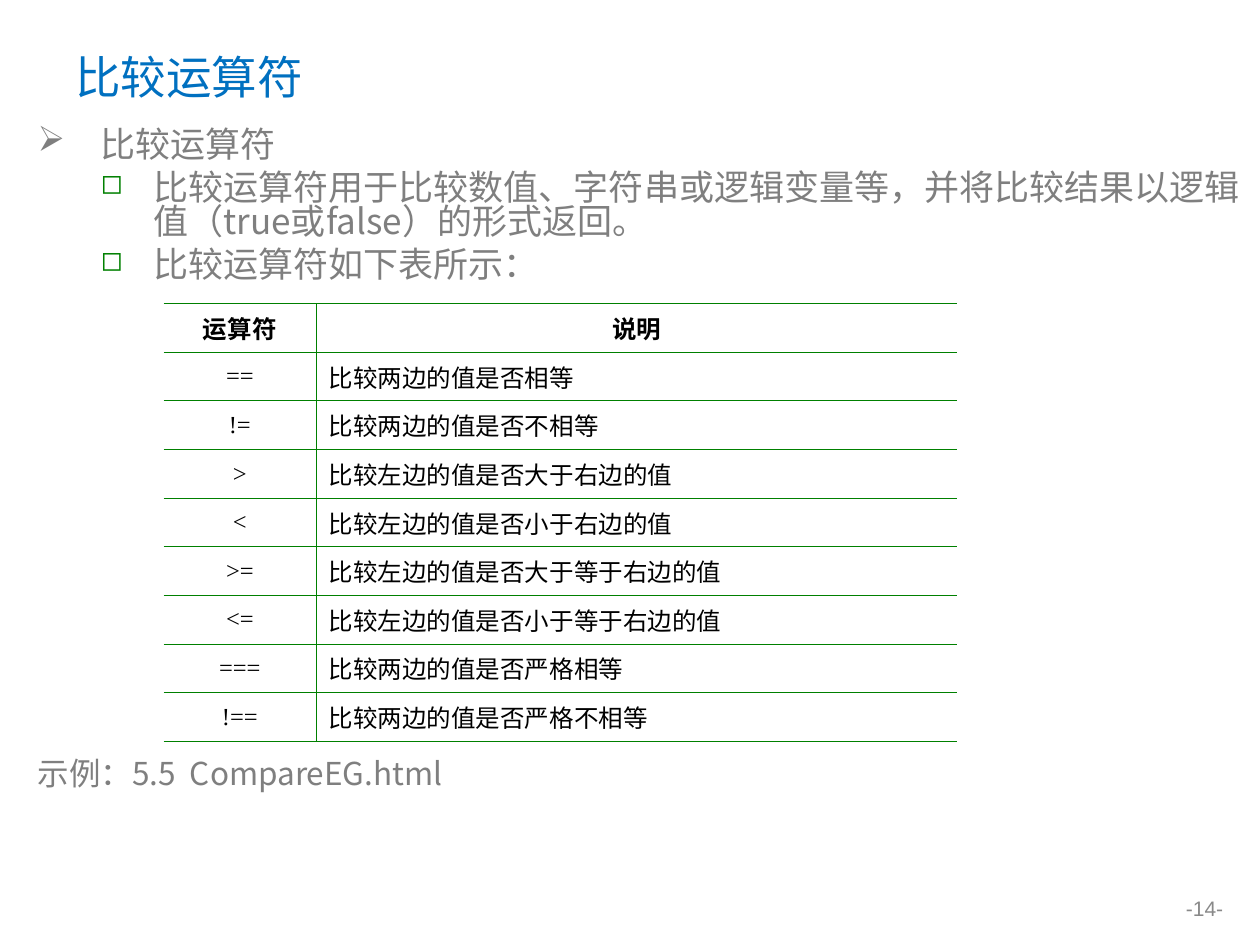
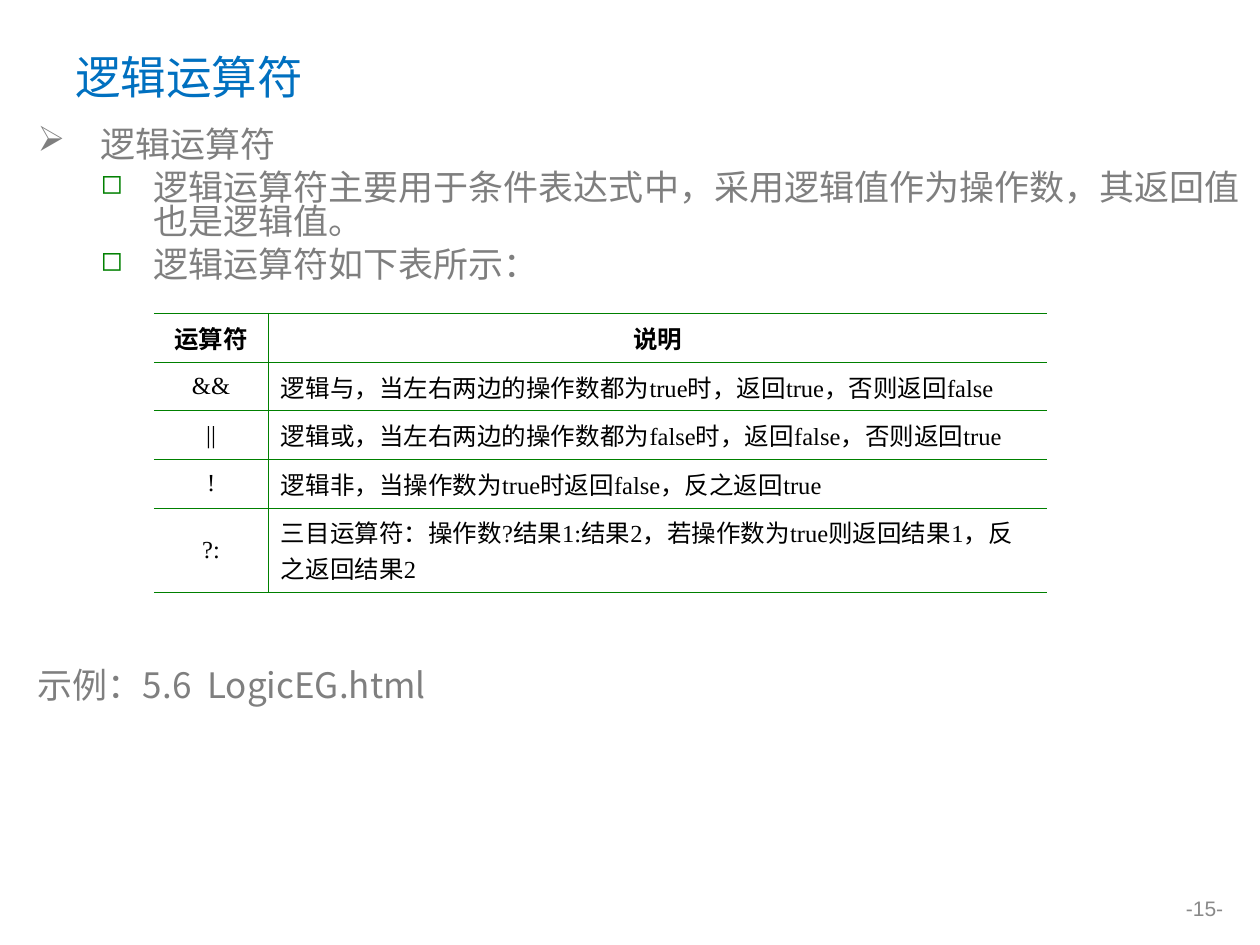
from collections import namedtuple
from dataclasses import dataclass

from lxml import etree
from pptx import Presentation
from pptx import util as u
from pptx.dml.color import RGBColor
from pptx.enum import text as t
from pptx.oxml import ns

Box = namedtuple("Box", "left top width height")
Bullet = namedtuple("Bullet", "margin hanging mark color scale")
Operators = namedtuple(
    "Operators", "title usage lead rows corner columns last_height "
    "example example_size example_gap page")


@dataclass(frozen=True)
class Theme:
    title: str = "0070C0"
    body: str = "7F7F7F"
    rule: str = "008000"
    cell: str = "000000"
    page: str = "898989"
    sans: str = "Noto Sans CJK SC"
    serif: str = "Times New Roman"
    page_font: str = "Arial"
    title_size: float = 26
    body_size: float = 20
    cell_size: float = 14
    page_size: float = 12
    line_factor: float = 0.98
    paragraph_gap: float = 5
    inner_rule: float = 0.45
    outer_rule: float = 0.75


THEME = Theme()
TITLE_BOX = Box(1.27, 0.76, 22.86, 1.55)
BODY_BOX = Box(0.51, 2.51, 24.89, 14.5)
PAGE_BOX = Box(23.11, 17.93, 1.8, 0.74)
ROW_HEIGHT = 0.98
WRAPPED_ROW_HEIGHT = 1.7
HEADING_BULLET = Bullet(1.27, 1.27, "➢", THEME.body, 100)
DETAIL_BULLET = Bullet(2.33, 1.06, "◻", THEME.rule, 78)

COMPARISON = Operators(
    title="比较运算符",
    usage="比较运算符用于比较数值、字符串或逻辑变量等，并将比较结果以逻辑值（true或false）的形式返回。",
    lead="比较运算符如下表所示：",
    rows=[
        ("运算符", "说明"),
        ("==", "比较两边的值是否相等"),
        ("!=", "比较两边的值是否不相等"),
        (">", "比较左边的值是否大于右边的值"),
        ("<", "比较左边的值是否小于右边的值"),
        (">=", "比较左边的值是否大于等于右边的值"),
        ("<=", "比较左边的值是否小于等于右边的值"),
        ("===", "比较两边的值是否严格相等"),
        ("!==", "比较两边的值是否严格不相等"),
    ],
    corner=(3.3, 6.12), columns=(3.07, 12.93), last_height=ROW_HEIGHT,
    example="示例：5.5  CompareEG.html", example_size=18, example_gap=272,
    page="-14-")

LOGIC = Operators(
    title="逻辑运算符",
    usage="逻辑运算符主要用于条件表达式中，采用逻辑值作为操作数，其返回值也是逻辑值。",
    lead="逻辑运算符如下表所示：",
    rows=[
        ("运算符", "说明"),
        ("&&", "逻辑与，当左右两边的操作数都为true时，返回true，否则返回false"),
        ("||", "逻辑或，当左右两边的操作数都为false时，返回false，否则返回true"),
        ("!", "逻辑非，当操作数为true时返回false，反之返回true"),
        ("?:", "三目运算符：操作数?结果1:结果2，若操作数为true则返回结果1，反之返回结果2"),
    ],
    corner=(3.1, 6.32), columns=(2.31, 15.7), last_height=WRAPPED_ROW_HEIGHT,
    example="示例：5.6  LogicEG.html", example_size=20, example_gap=221,
    page="-15-")


def add_xml(parent, tag, **attributes):
    return etree.SubElement(parent, ns.qn(tag), attributes)


def write(paragraph, words, *, size, color, font=THEME.sans, bold=False,
          align=t.PP_ALIGN.LEFT):
    paragraph.alignment = align
    run = paragraph.add_run()
    run.text = words
    run.font.size = u.Pt(size)
    run.font.bold = bold
    run.font.name = font
    run.font.color.rgb = RGBColor.from_string(color)
    add_xml(run.font._element, "a:ea", typeface=THEME.sans)


def add_frame(slide, box, anchor=t.MSO_ANCHOR.MIDDLE):
    frame = slide.shapes.add_textbox(*map(u.Cm, box)).text_frame
    frame.word_wrap = True
    frame.vertical_anchor = anchor
    return frame


def add_title(slide, box, words):
    write(add_frame(slide, box).paragraphs[0], words,
          size=THEME.title_size, color=THEME.title)


def add_page_number(slide, box, words):
    write(add_frame(slide, box).paragraphs[0], words, size=THEME.page_size,
          color=THEME.page, font=THEME.page_font, align=t.PP_ALIGN.RIGHT)


def set_bullet(paragraph, bullet):
    """Indent a paragraph and give it a mark with its own colour and size."""
    properties = paragraph._p.get_or_add_pPr()
    properties.set("marL", str(u.Cm(bullet.margin)))
    properties.set("indent", str(-u.Cm(bullet.hanging)))
    add_xml(add_xml(properties, "a:buClr"), "a:srgbClr", val=bullet.color)
    add_xml(properties, "a:buSzPct", val=str(bullet.scale * 1000))
    add_xml(properties, "a:buChar", char=bullet.mark)


def add_body(slide, box, operators):
    frame = add_frame(slide, box, t.MSO_ANCHOR.TOP)
    frame.margin_top = u.Cm(0.11)
    size, gap = THEME.body_size, THEME.paragraph_gap
    lines = [
        (operators.title, size, 0, HEADING_BULLET),
        (operators.usage, size, gap, DETAIL_BULLET),
        (operators.lead, size, gap, DETAIL_BULLET),
        (operators.example, operators.example_size, operators.example_gap, None),
    ]
    for index, (words, size, gap, bullet) in enumerate(lines):
        paragraph = frame.add_paragraph() if index else frame.paragraphs[0]
        write(paragraph, words, size=size, color=THEME.body)
        paragraph.line_spacing = u.Pt(round(size * THEME.line_factor, 1))
        paragraph.space_before = u.Pt(gap)
        if bullet:
            set_bullet(paragraph, bullet)


def set_borders(cell, **widths):
    """Draw the sides L, R, T and B in points; None leaves a side open."""
    properties = cell._tc.get_or_add_tcPr()
    for side in "LRTB":
        width = widths[side]
        line = add_xml(properties, f"a:ln{side}", w=str(u.Pt(width or 0)))
        if width:
            add_xml(add_xml(line, "a:solidFill"), "a:srgbClr", val=THEME.rule)
        else:
            add_xml(line, "a:noFill")


def add_operator_table(slide, corner, columns, rows, last_height):
    heights = [ROW_HEIGHT] * (len(rows) - 1) + [last_height]
    box = Box(*corner, sum(columns), sum(heights))
    table = slide.shapes.add_table(
        len(rows), len(columns), *map(u.Cm, box)).table
    table.first_row = table.horz_banding = False
    for column, width in zip(table.columns, columns):
        column.width = u.Cm(width)
    for row, height in zip(table.rows, heights):
        row.height = u.Cm(height)
    inner, outer = THEME.inner_rule, THEME.outer_rule
    for r, entries in enumerate(rows):
        for c, words in enumerate(entries):
            cell = table.cell(r, c)
            cell.vertical_anchor = t.MSO_ANCHOR.MIDDLE
            centred = r == 0 or c == 0
            write(cell.text_frame.paragraphs[0], words, size=THEME.cell_size,
                  color=THEME.cell, font=THEME.serif, bold=r == 0,
                  align=t.PP_ALIGN.CENTER if centred else t.PP_ALIGN.LEFT)
            set_borders(cell,
                        L=inner if c else None,
                        R=None if c else inner,
                        T=inner if r else outer,
                        B=outer if r == len(rows) - 1 else inner)
            cell.fill.background()


def add_operator_slide(deck, operators):
    slide = deck.slides.add_slide(deck.slide_layouts[6])
    add_title(slide, TITLE_BOX, operators.title)
    add_body(slide, BODY_BOX, operators)
    add_operator_table(slide, operators.corner, operators.columns,
                       operators.rows, operators.last_height)
    add_page_number(slide, PAGE_BOX, operators.page)


def main():
    deck = Presentation()
    deck.slide_width, deck.slide_height = u.Cm(25.4), u.Cm(19.05)
    for operators in (COMPARISON, LOGIC):
        add_operator_slide(deck, operators)
    deck.save("out.pptx")


if __name__ == "__main__":
    main()
